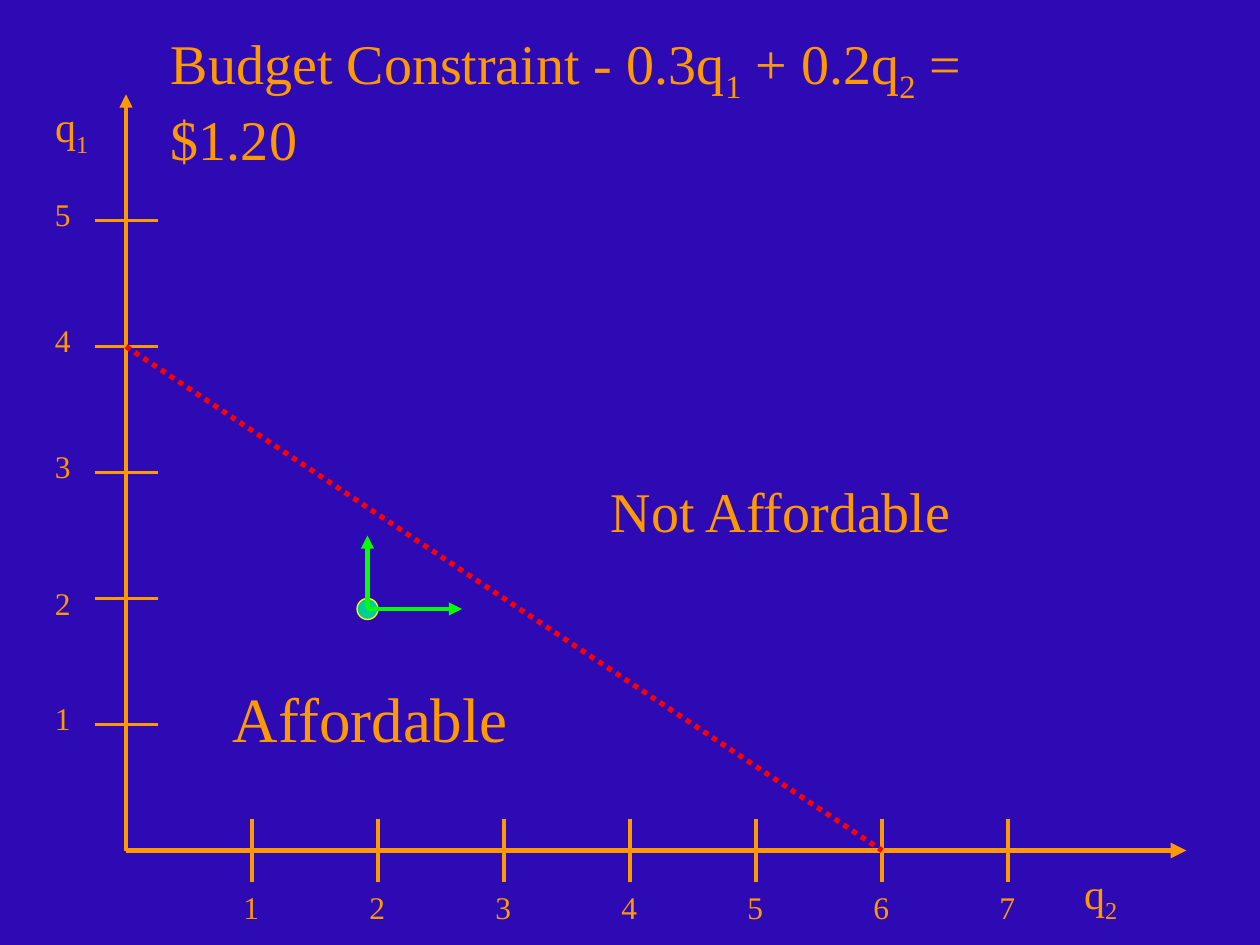
from lxml import etree
from pptx import Presentation
from pptx import util as u
from pptx.dml import color
from pptx.enum import dml, shapes, text
from pptx.oxml import ns

Pt = u.Pt
FONT = "Times New Roman"
COLORS = {
    "background": "2E0AB4",
    "axis": "FF9900",
    "budget": "FF0000",
    "arrow": "00FF00",
    "point": "00CC99",
    "outline": "FFFF00",
}

# Axis geometry in points
UNIT = 72
ORIGIN_X, ORIGIN_Y = 72, 486
HALF_TICK = 18


def rgb(name):
    return color.RGBColor.from_string(COLORS[name])


def at_x(value):
    return ORIGIN_X + value * UNIT


def at_y(value):
    return ORIGIN_Y - value * UNIT


def add_line(slide, start, end, color_name, width, arrow=False, dash=None):
    line = slide.shapes.add_connector(
        shapes.MSO_CONNECTOR.STRAIGHT, *(Pt(value) for value in (*start, *end)))
    line.line.color.rgb = rgb(color_name)
    line.line.width = Pt(width)
    if dash is not None:
        line.line.dash_style = dash
    if arrow:
        etree.SubElement(line.line._get_or_add_ln(), ns.qn("a:tailEnd"), type="triangle")
    etree.SubElement(line._element.spPr, ns.qn("a:effectLst"))


def write_text(shape, runs, size):
    """Fill a shape with runs; each run is (content, is_subscript)."""
    frame = shape.text_frame
    frame.word_wrap = False
    frame.auto_size = text.MSO_AUTO_SIZE.NONE
    frame.vertical_anchor = text.MSO_ANCHOR.TOP
    paragraph = frame.paragraphs[0]
    paragraph.alignment = text.PP_ALIGN.LEFT
    for content, is_subscript in runs:
        run = paragraph.add_run()
        run.text = content
        run.font.name = FONT
        run.font.size = Pt(size)
        run.font.color.rgb = rgb("axis")
        if is_subscript:
            run.font._element.set("baseline", "-25000")


def add_label(slide, box, runs, size):
    write_text(slide.shapes.add_textbox(*map(Pt, box)), runs, size)


def add_title(slide):
    title = slide.shapes.title
    title.left, title.top, title.width, title.height = map(Pt, (90.5, 12.5, 546, 51))
    write_text(title, [("Budget Constraint - 0.3q", False), ("1", True),
                       (" + 0.2q", False), ("2", True), (" = $1.20", False)], 32)


def add_axes(slide):
    # Vertical axis: the label of 2 sits slightly lower than the others
    for value in range(1, 6):
        y = at_y(value)
        add_line(slide, (ORIGIN_X - HALF_TICK, y), (ORIGIN_X + HALF_TICK, y), "axis", 2)
        label_top = y - (12 if value == 2 else 18)
        add_label(slide, (24.25, label_top, 24, 29), [(str(value), False)], 18)
    add_line(slide, (ORIGIN_X, ORIGIN_Y), (ORIGIN_X, at_y(6)), "axis", 2.5, arrow=True)

    # Horizontal axis
    for value in range(1, 8):
        x = at_x(value)
        add_line(slide, (x, ORIGIN_Y - HALF_TICK), (x, ORIGIN_Y + HALF_TICK), "axis", 2)
        add_label(slide, (x - 12, 504, 24, 29), [(str(value), False)], 18)
    add_line(slide, (ORIGIN_X, ORIGIN_Y), (678, ORIGIN_Y), "axis", 3, arrow=True)

    # Axis names
    add_label(slide, (24.5, 54, 33, 40), [("q", False), ("1", True)], 24)
    add_label(slide, (612.5, 492, 33, 40), [("q", False), ("2", True)], 24)


def add_bundle(slide, x, y):
    diameter = 12
    point = slide.shapes.add_shape(
        shapes.MSO_SHAPE.OVAL, Pt(x - diameter / 2), Pt(y - diameter / 2),
        Pt(diameter), Pt(diameter))
    point.shadow.inherit = False
    point.fill.solid()
    point.fill.fore_color.rgb = rgb("point")
    point.line.color.rgb = rgb("outline")
    point.line.width = Pt(0.75)
    for end in ((x + 54, y), (x, y - 42)):
        add_line(slide, (x, y), end, "arrow", 2.5, arrow=True)


def main():
    presentation = Presentation()
    presentation.slide_width, presentation.slide_height = Pt(720), Pt(540)
    slide = presentation.slides.add_slide(presentation.slide_layouts[5])
    slide.background.fill.solid()
    slide.background.fill.fore_color.rgb = rgb("background")

    add_title(slide)
    add_axes(slide)

    # Budget line and the two regions it separates
    add_line(slide, (at_x(0), at_y(4)), (at_x(6), at_y(0)), "budget", 3,
             dash=dml.MSO_LINE.ROUND_DOT)
    add_label(slide, (126, 384.5, 172, 50), [("Affordable", False)], 36)
    add_label(slide, (342, 268.5, 211, 46), [("Not Affordable", False)], 32)

    # Sample bundle with its directions of increase
    add_bundle(slide, 210, 348)
    presentation.save("out.pptx")


if __name__ == "__main__":
    main()
